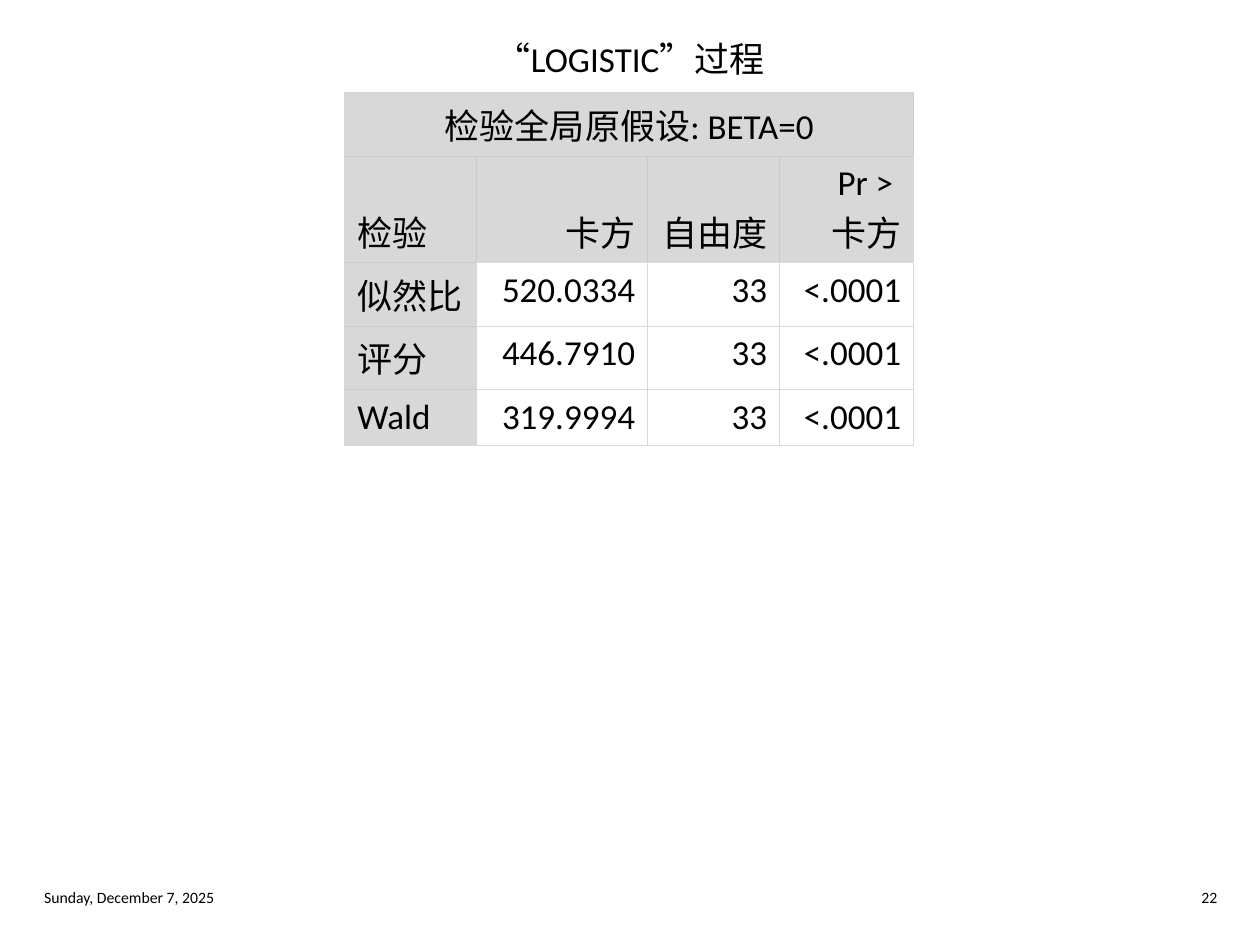
from dataclasses import dataclass

from lxml.etree import SubElement
from pptx import Presentation
from pptx.dml.color import RGBColor
from pptx.enum.text import MSO_ANCHOR as Anchor, PP_ALIGN as Align
from pptx.oxml.ns import qn
from pptx.util import Cm, Pt


@dataclass(frozen=True)
class Theme:
    font: str = "Calibri"
    text: str = "000000"
    shade: str = "D8D8D8"
    header_line: str = "CCCCCC"
    body_size: int = 20
    footer_size: int = 9
    line_width: float = 0.5


@dataclass(frozen=True)
class Label:
    text: str
    left: float
    top: float
    width: float
    height: float
    size: int
    align: Align
    anchor: Anchor


THEME = Theme()

LABELS = [
    Label("“LOGISTIC”过程", 0.64, 0.64, 24.13, 1.07,
          THEME.body_size, Align.CENTER, Anchor.TOP),
    Label("Sunday, December 7, 2025", 0.64, 17.75, 6.05, 0.66,
          THEME.footer_size, Align.LEFT, Anchor.MIDDLE),
    Label("22", 18.74, 17.75, 6.05, 0.66,
          THEME.footer_size, Align.RIGHT, Anchor.MIDDLE),
]

TABLE_TITLE = "检验全局原假设: BETA=0"
TABLE_ROWS = [
    (TABLE_TITLE, "", "", ""),
    ("检验", "卡方", "自由度", "Pr > \v卡方"),
    ("似然比", "520.0334", "33", "<.0001"),
    ("评分", "446.7910", "33", "<.0001"),
    ("Wald", "319.9994", "33", "<.0001"),
]
COLUMN_WIDTHS = (2.66, 3.45, 2.66, 2.7)
ROW_HEIGHTS = (1.07, 1.75, 1.07, 1.07, 1.07)
HEADER_ROWS = 2


def set_attributes(target, values: dict) -> None:
    for name, value in values.items():
        setattr(target, name, value)


def write_text(frame, text: str, size: int, align: Align) -> None:
    paragraph = frame.paragraphs[0]
    paragraph.text = text
    paragraph.alignment = align
    for run in paragraph.runs:
        set_attributes(run.font, {"name": THEME.font, "size": Pt(size)})
        run.font.color.rgb = RGBColor.from_string(THEME.text)


def add_label(slide, label: Label) -> None:
    box = slide.shapes.add_textbox(
        Cm(label.left), Cm(label.top), Cm(label.width), Cm(label.height))
    frame = box.text_frame
    set_attributes(frame, {"word_wrap": True, "vertical_anchor": label.anchor})
    write_text(frame, label.text, label.size, label.align)


def set_borders(cell, colors: dict[str, str]) -> None:
    properties = cell._tc.get_or_add_tcPr()
    for side, color in colors.items():
        line = SubElement(properties, qn(f"a:ln{side}"),
                          w=str(int(Pt(THEME.line_width))))
        fill = SubElement(line, qn("a:solidFill"))
        SubElement(fill, qn("a:srgbClr"), val=color)


def border_colors(row: int, column: int, is_header: bool) -> dict[str, str]:
    """Header cells have a darker line on each side inside the table."""
    on_edge = {
        "L": column == 0,
        "R": column == len(COLUMN_WIDTHS) - 1,
        "T": row == 0,
        "B": row == len(ROW_HEIGHTS) - 1,
    }
    return {side: THEME.header_line if is_header and not edge else THEME.shade
            for side, edge in on_edge.items()}


def format_cell(cell, row: int, column: int, text: str) -> None:
    is_header = row < HEADER_ROWS or column == 0
    set_borders(cell, border_colors(row, column, is_header))
    if is_header:
        cell.fill.solid()
        cell.fill.fore_color.rgb = RGBColor.from_string(THEME.shade)
    else:
        cell.fill.background()
    cell.vertical_anchor = Anchor.BOTTOM if row < HEADER_ROWS else Anchor.TOP
    if row == 0:
        align = Align.CENTER
    else:
        align = Align.LEFT if column == 0 else Align.RIGHT
    write_text(cell.text_frame, text, THEME.body_size, align)


def add_test_table(slide) -> None:
    table = slide.shapes.add_table(
        len(ROW_HEIGHTS), len(COLUMN_WIDTHS), Cm(6.95), Cm(1.87),
        Cm(sum(COLUMN_WIDTHS)), Cm(sum(ROW_HEIGHTS))).table
    set_attributes(table, {"first_row": False, "horz_banding": False})
    for column, width in zip(table.columns, COLUMN_WIDTHS):
        column.width = Cm(width)
    for row, height in zip(table.rows, ROW_HEIGHTS):
        row.height = Cm(height)
    for row, texts in enumerate(TABLE_ROWS):
        for column, text in enumerate(texts):
            format_cell(table.cell(row, column), row, column, text)
    table.cell(0, 0).merge(table.cell(0, len(COLUMN_WIDTHS) - 1))


def main() -> None:
    presentation = Presentation()
    set_attributes(presentation,
                   {"slide_width": Cm(25.4), "slide_height": Cm(19.05)})
    slide = presentation.slides.add_slide(presentation.slide_layouts[6])
    add_test_table(slide)
    for label in LABELS:
        add_label(slide, label)
    presentation.save("out.pptx")


if __name__ == "__main__":
    main()
